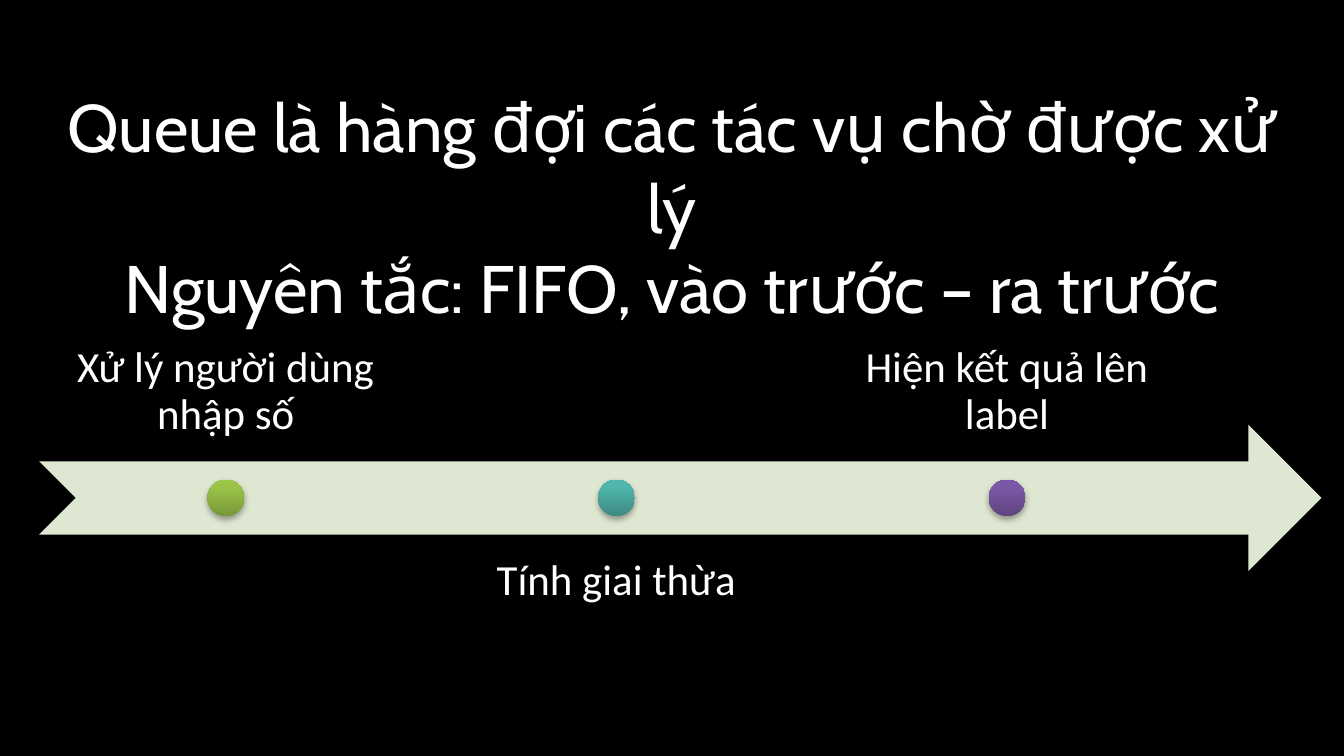
"""Build a slide that explains a queue with a three-step timeline."""
from copy import deepcopy
from dataclasses import dataclass

from lxml import etree
from pptx import Presentation
from pptx.dml.color import RGBColor
from pptx.enum import shapes, text
from pptx.oxml import ns
from pptx.util import Pt

WHITE = "FFFFFF"
FIRST_CENTER, STEP_PITCH = 121, 209.25
LABEL_WIDTH, LABEL_HEIGHT, LABEL_INSET = 199.2, 78.75, 12.8
DOT_SIZE, DOT_TOP = 19.7, 256.9


@dataclass(frozen=True)
class Step:
    label: str
    label_top: float
    anchor: text.MSO_ANCHOR
    gradient: tuple[str, str, str]


STEPS = (
    Step("Xử lý người dùng nhập số", 169, text.MSO_ANCHOR.BOTTOM,
         ("779737", "9BC348", "9DC746")),
    Step("Tính giai thừa", 286.9, text.MSO_ANCHOR.TOP,
         ("3D8B83", "50B5AA", "4EB8AC")),
    Step("Hiện kết quả lên label", 169, text.MSO_ANCHOR.BOTTOM,
         ("5F4480", "7B58A6", "7C57A8")),
)


def rgb(code: str) -> RGBColor:
    return RGBColor.from_string(code)


def style_paragraph(para, font: str, size: float) -> None:
    para.alignment = text.PP_ALIGN.CENTER
    para.font.name = font
    para.font.size = Pt(size)
    para.font.color.rgb = rgb(WHITE)


def set_insets(frame, inset: float) -> None:
    frame.margin_left = frame.margin_right = Pt(inset)
    frame.margin_top = frame.margin_bottom = Pt(inset)


def add_shadow(shape) -> None:
    shape.shadow.inherit = False
    effects = shape.element.spPr.find(ns.qn("a:effectLst"))
    shadow = etree.SubElement(
        effects, ns.qn("a:outerShdw"), blurRad=str(Pt(3.15)),
        dist=str(Pt(1.8)), dir="5400000", rotWithShape="0")
    color = etree.SubElement(shadow, ns.qn("a:srgbClr"), val="000000")
    etree.SubElement(color, ns.qn("a:alpha"), val="35000")


def fill_gradient(shape, colors: tuple[str, str, str]) -> None:
    shape.fill.gradient()
    stop_list = shape.element.spPr.find(".//" + ns.qn("a:gsLst"))
    stop_list.append(deepcopy(stop_list[-1]))
    for stop, position, code in zip(shape.fill.gradient_stops, (0, 0.8, 1), colors):
        stop.position = position
        stop.color.rgb = rgb(code)
    shape.fill.gradient_angle = 90


def add_title(page) -> None:
    title = page.shapes.title
    title.left, title.top, title.width, title.height = Pt(21), Pt(40.3), Pt(678), Pt(110)
    frame = title.text_frame
    frame.word_wrap = True
    frame.auto_size = text.MSO_AUTO_SIZE.NONE
    frame.vertical_anchor = text.MSO_ANCHOR.TOP
    set_insets(frame, 5.4)
    para = frame.paragraphs[0]
    para.add_run().text = "Queue là hàng đợi các tác vụ chờ được xử lý"
    para.add_line_break()
    para.add_run().text = "Nguyên tắc: FIFO, vào trước – ra trước"
    style_paragraph(para, "Cabin", 36)


def add_arrow(group) -> None:
    arrow = group.shapes.add_shape(
        shapes.MSO_SHAPE.NOTCHED_RIGHT_ARROW, Pt(21), Pt(227.5), Pt(687), Pt(78.5))
    arrow.fill.solid()
    arrow.fill.fore_color.rgb = rgb("DEE7D1")
    arrow.line.fill.background()
    add_shadow(arrow)


def add_step(group, step: Step, center: float) -> None:
    box = group.shapes.add_textbox(
        Pt(center - LABEL_WIDTH / 2), Pt(step.label_top), Pt(LABEL_WIDTH), Pt(LABEL_HEIGHT))
    frame = box.text_frame
    frame.word_wrap = True
    frame.vertical_anchor = step.anchor
    set_insets(frame, LABEL_INSET)
    para = frame.paragraphs[0]
    para.text = step.label
    para.line_spacing = 0.9
    style_paragraph(para, "Calibri", 23)

    dot = group.shapes.add_shape(
        shapes.MSO_SHAPE.OVAL, Pt(center - DOT_SIZE / 2), Pt(DOT_TOP), Pt(DOT_SIZE), Pt(DOT_SIZE))
    fill_gradient(dot, step.gradient)
    dot.line.fill.background()
    add_shadow(dot)


def main() -> None:
    deck = Presentation()
    deck.slide_width, deck.slide_height = Pt(720), Pt(405)
    page = deck.slides.add_slide(deck.slide_layouts.get_by_name("Title Only"))
    page.background.fill.solid()
    page.background.fill.fore_color.rgb = rgb("000000")
    add_title(page)
    timeline = page.shapes.add_group_shape()
    add_arrow(timeline)
    for index, step in enumerate(STEPS):
        add_step(timeline, step, FIRST_CENTER + index * STEP_PITCH)
    deck.save("out.pptx")


if __name__ == "__main__":
    main()
